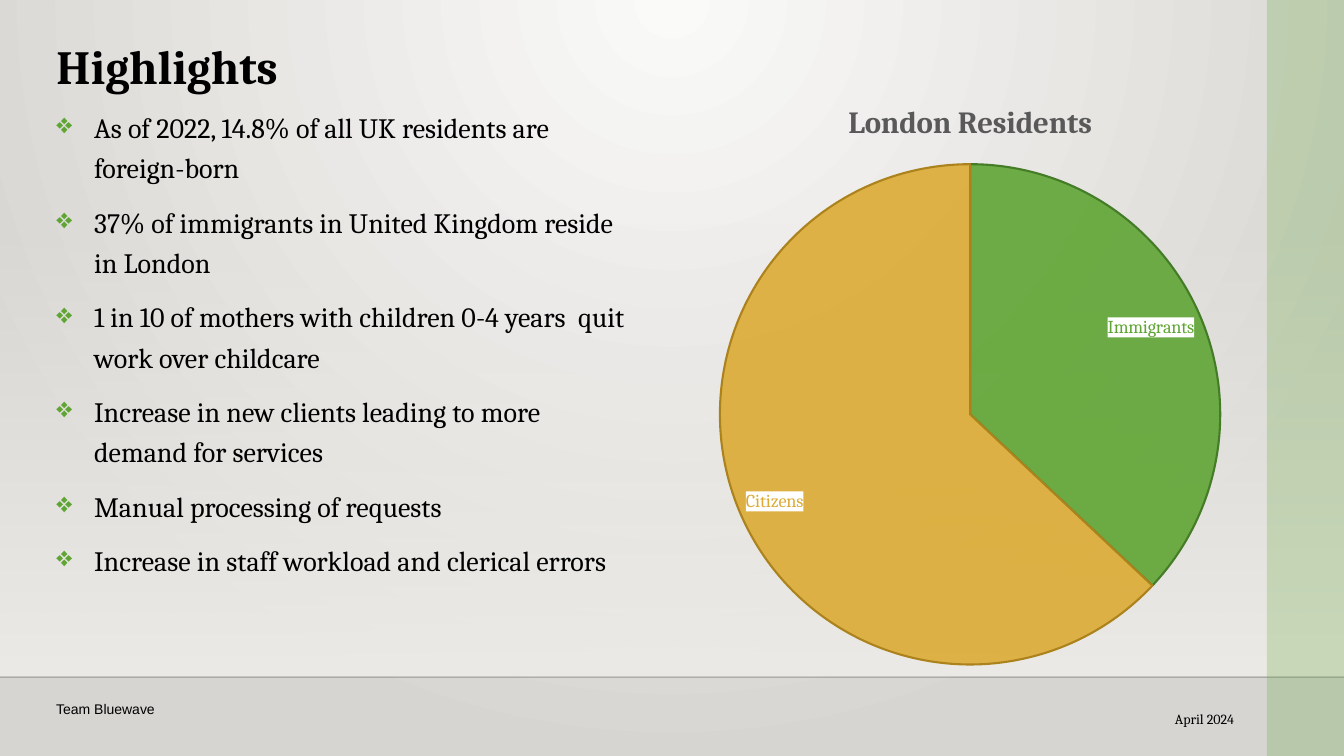
from lxml import etree
from pptx import Presentation
from pptx.chart.data import CategoryChartData
from pptx.dml.color import RGBColor
from pptx.enum.chart import XL_CHART_TYPE as ChartType, XL_LABEL_POSITION as LabelPosition
from pptx.enum.shapes import MSO_CONNECTOR as Connector, MSO_SHAPE as Shape
from pptx.enum.text import MSO_ANCHOR as Anchor, MSO_AUTO_SIZE as AutoSize, PP_ALIGN as Align
from pptx.oxml import parse_xml
from pptx.oxml.ns import nsdecls, qn
from pptx.util import Pt

WIDTH, HEIGHT = 960, 540
GREEN, GOLD, BLACK = "5FA534", "DCAB34", "000000"
SERIF = "Cambria"
HIGHLIGHTS = [
    "As of 2022, 14.8% of all UK residents are foreign-born",
    "37% of immigrants in United Kingdom reside in London",
    "1 in 10 of mothers with children 0-4 years  quit work over childcare",
    "Increase in new clients leading to more demand for services",
    "Manual processing of requests",
    "Increase in staff workload and clerical errors",
]
RESIDENTS = [("Immigrants", 37, GREEN, "457C27"), ("Citizens", 63, GOLD, "AC821D")]


def color(value):
    return RGBColor.from_string(value)


def set_font(font, size, value, name=SERIF, bold=False):
    font.size, font.name, font.bold = Pt(size), name, bold
    font.color.rgb = color(value)


def set_alpha(properties, percent):
    for fill_color in properties.iter(qn("a:srgbClr")):
        etree.SubElement(fill_color, qn("a:alpha")).set("val", str(percent * 1000))


def set_gradient(fill, element, stops, direction):
    fill.gradient()
    gradient = element.find(".//" + qn("a:gradFill"))
    stop_xml = "".join(
        f'<a:gs pos="{position * 1000}"><a:srgbClr val="{value}">'
        f'<a:alpha val="{alpha * 1000}"/></a:srgbClr></a:gs>'
        for position, value, alpha in stops
    )
    gradient.getparent().replace(gradient, parse_xml(
        f'<a:gradFill {nsdecls("a")} rotWithShape="1">'
        f"<a:gsLst>{stop_xml}</a:gsLst>{direction}</a:gradFill>"
    ))


def add_panel(slide, left, top, width, height):
    panel = slide.shapes.add_shape(Shape.RECTANGLE, Pt(left), Pt(top), Pt(width), Pt(height))
    panel.shadow.inherit = False
    panel.line.fill.background()
    return panel


def add_backdrop(slide):
    set_gradient(
        slide.background.fill, slide.element,
        [(0, "FAFAF9", 100), (100, "D7D5D2", 100)],
        '<a:path path="circle"><a:fillToRect l="43000" t="0" r="43000" b="100000"/></a:path>',
    )
    haze = add_panel(slide, 0, 158.4, WIDTH, 324)
    set_gradient(
        haze.fill, haze.element,
        [(0, "EDEBE7", 0), (100, "EDEBE7", 100)],
        '<a:lin ang="5400000" scaled="0"/>',
    )
    rule = slide.shapes.add_connector(Connector.STRAIGHT, 0, Pt(483.8), Pt(WIDTH), Pt(483.8))
    rule.line.width = Pt(1)
    rule.line.color.rgb = color("000001")
    set_alpha(rule.element.spPr, 20)
    etree.SubElement(rule.element.spPr, qn("a:effectLst"))

    side_band = add_panel(slide, 905, 0, WIDTH - 905, HEIGHT)
    side_band.fill.solid()
    side_band.fill.fore_color.rgb = color(GREEN)
    set_alpha(side_band.element.spPr, 25)


def add_title(slide, text):
    title = slide.shapes.title
    title.left, title.top, title.width, title.height = Pt(33.1), Pt(11.5), Pt(428.4), Pt(59.8)
    frame = title.text_frame
    frame.auto_size = AutoSize.NONE
    frame.vertical_anchor = Anchor.BOTTOM
    paragraph = frame.paragraphs[0]
    paragraph.alignment = Align.LEFT
    paragraph.line_spacing = 0.9
    run = paragraph.add_run()
    run.text = text
    set_font(run.font, 34, BLACK, bold=True)


def add_text_box(slide, left, top, width, height):
    frame = slide.shapes.add_textbox(Pt(left), Pt(top), Pt(width), Pt(height)).text_frame
    frame.word_wrap = True
    return frame


def add_bullets(slide, items):
    frame = add_text_box(slide, 33.1, 70.6, 424.1, 398.2)
    for index, item in enumerate(items):
        paragraph = frame.add_paragraph() if index else frame.paragraphs[0]
        paragraph.line_spacing = 1.2
        if index:
            paragraph.space_before = Pt(10)
        properties = paragraph._p.get_or_add_pPr()
        properties.set("marL", str(Pt(27)))
        properties.set("indent", str(Pt(-27)))
        bullet_color = etree.SubElement(properties, qn("a:buClr"))
        etree.SubElement(bullet_color, qn("a:srgbClr")).set("val", GREEN)
        etree.SubElement(properties, qn("a:buChar")).set("char", "❖")
        run = paragraph.add_run()
        run.text = item
        set_font(run.font, 20, BLACK)


def add_footer(slide, text, left, top, width, height, font_name, alignment):
    paragraph = add_text_box(slide, left, top, width, height).paragraphs[0]
    paragraph.alignment = alignment
    run = paragraph.add_run()
    run.text = text
    set_font(run.font, 10, BLACK, font_name)


def style_slice(point, fill_color, line_color):
    point.format.fill.solid()
    point.format.fill.fore_color.rgb = color(fill_color)
    set_alpha(point.format.fill._xPr, 90)
    point.format.line.width = Pt(1.5)
    point.format.line.color.rgb = color(line_color)
    label = point.data_label
    set_font(label.font, 13, fill_color)
    label.position = LabelPosition.INSIDE_END


def show_category_labels(chart):
    for label in chart.element.iter(qn("c:dLbl")):
        label.find(qn("c:showVal")).set("val", "0")
        label.find(qn("c:showPercent")).set("val", "0")
        label.find(qn("c:showCatName")).set("val", "1")
        for old in label.findall(qn("c:spPr")):
            label.remove(old)
        label.find(qn("c:txPr")).addprevious(parse_xml(
            f'<c:spPr {nsdecls("c", "a")}><a:solidFill><a:srgbClr val="FFFFFF"/>'
            "</a:solidFill></c:spPr>"
        ))


def set_plot_layout(chart, x, y, width, height):
    plot_area = chart.element.find(".//" + qn("c:plotArea"))
    for old in plot_area.findall(qn("c:layout")):
        plot_area.remove(old)
    plot_area.insert(0, parse_xml(
        f'<c:layout {nsdecls("c")}><c:manualLayout><c:layoutTarget val="inner"/>'
        '<c:xMode val="edge"/><c:yMode val="edge"/>'
        f'<c:x val="{x}"/><c:y val="{y}"/><c:w val="{width}"/><c:h val="{height}"/>'
        "</c:manualLayout></c:layout>"
    ))


def add_pie(slide, name, residents):
    data = CategoryChartData()
    data.categories = [resident[0] for resident in residents]
    data.add_series(name, [resident[1] for resident in residents])
    chart = slide.shapes.add_chart(
        ChartType.PIE, Pt(480.2), Pt(56.9), Pt(425.5), Pt(427), data
    ).chart
    set_font(chart.font, 10, BLACK)
    chart.has_legend = False
    chart.has_title = True
    run = chart.chart_title.text_frame.paragraphs[0].add_run()
    run.text = name
    set_font(run.font, 22, "595959", bold=True)
    plot = chart.plots[0]
    plot.vary_by_categories = True
    for index, (_, _, fill_color, line_color) in enumerate(residents):
        style_slice(plot.series[0].points[index], fill_color, line_color)
    show_category_labels(chart)
    set_plot_layout(chart, 0.08, 0.14, 0.84, 0.84)


def main():
    presentation = Presentation()
    presentation.slide_width, presentation.slide_height = Pt(WIDTH), Pt(HEIGHT)
    slide = presentation.slides.add_slide(presentation.slide_layouts[5])
    add_backdrop(slide)
    add_title(slide, "Highlights")
    add_bullets(slide, HIGHLIGHTS)
    add_footer(slide, "Team Bluewave", 33.1, 496.8, 609.1, 38.9, "Arial", Align.LEFT)
    add_pie(slide, "London Residents", RESIDENTS)
    add_footer(slide, "April 2024", 612.7, 504, 275.8, 24.5, SERIF, Align.RIGHT)
    presentation.save("out.pptx")


if __name__ == "__main__":
    main()
